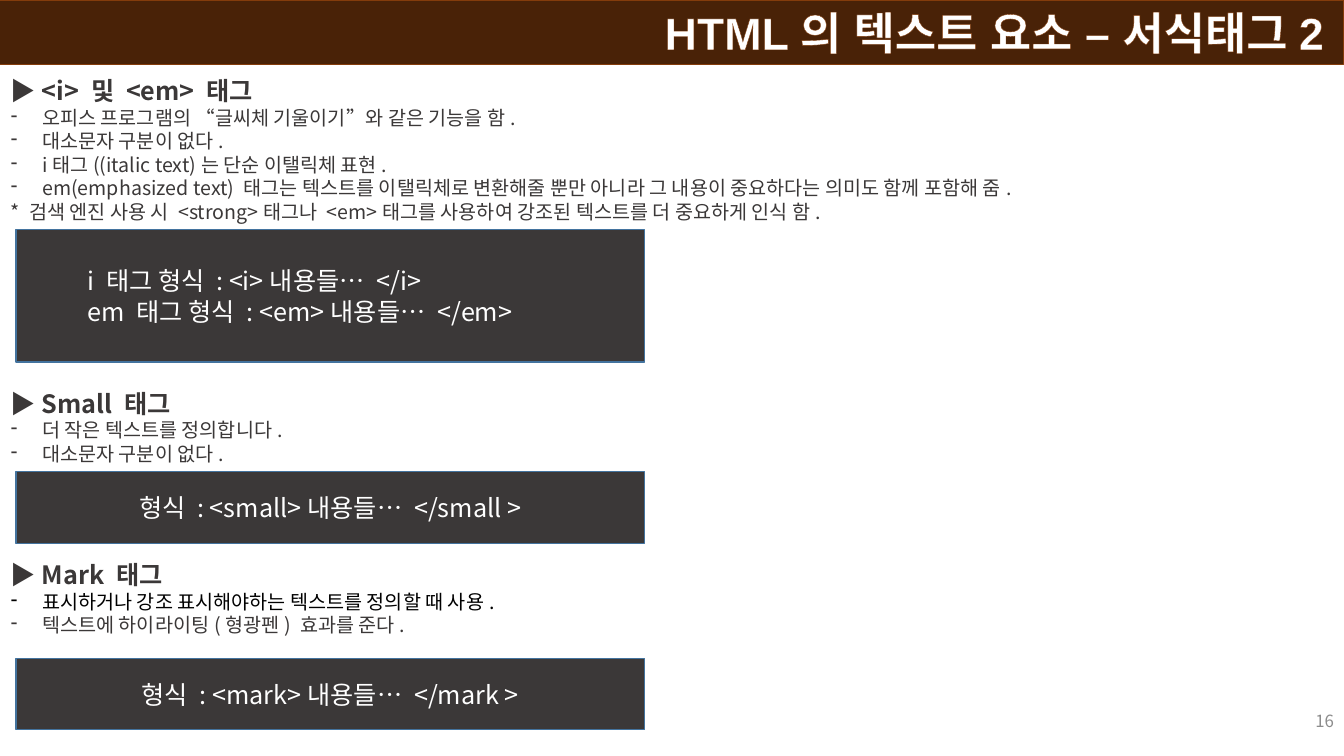
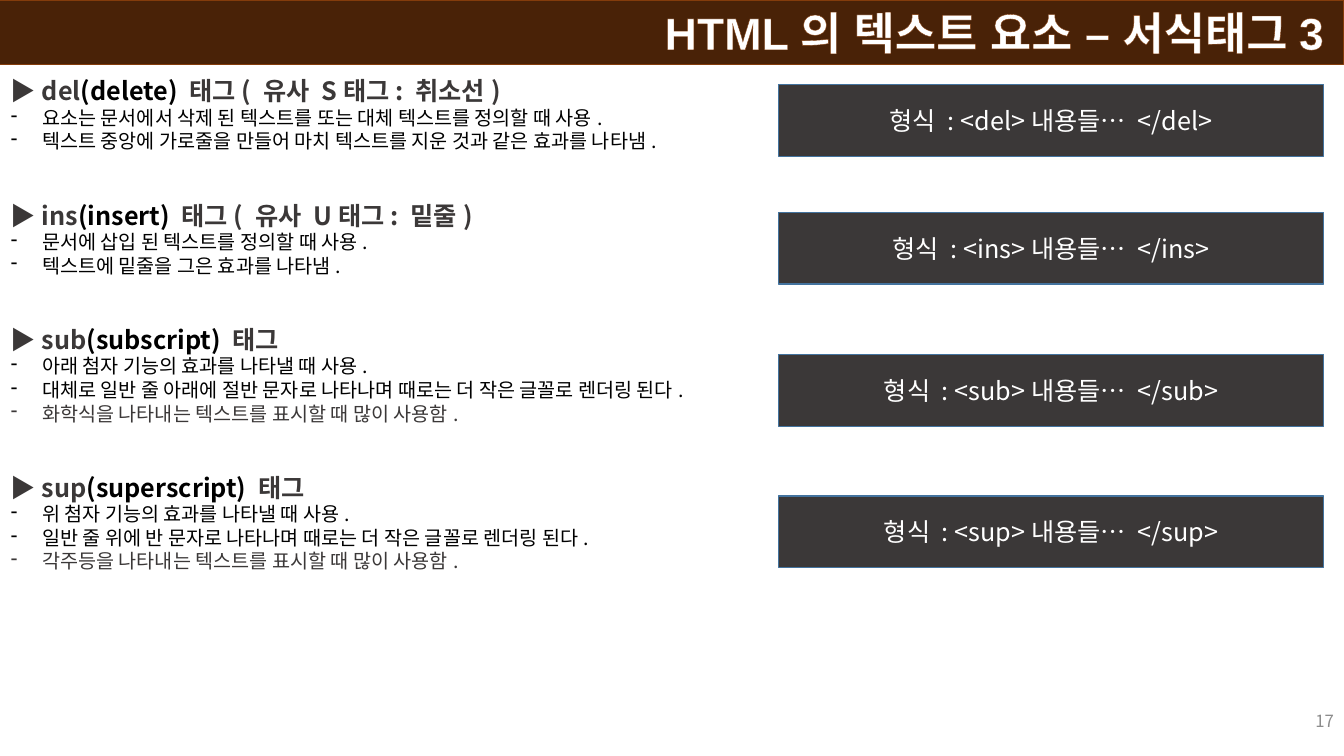
from lxml import etree
from pptx import Presentation
from pptx.dml.color import RGBColor
from pptx.enum.shapes import MSO_SHAPE
from pptx.enum.text import MSO_ANCHOR, PP_ALIGN
from pptx.oxml.ns import qn
from pptx.util import Inches, Pt

RECTANGLE = MSO_SHAPE.RECTANGLE
MIDDLE = MSO_ANCHOR.MIDDLE
LEFT, CENTER, RIGHT = PP_ALIGN.LEFT, PP_ALIGN.CENTER, PP_ALIGN.RIGHT

WIDTH, HEIGHT = Inches(13.33), Inches(7.5)
COLORS = {
    "band": "492207",
    "band_line": "843C0B",
    "dark": "3B3838",
    "box_line": "43739E",
    "black": "000000",
    "white": "FFFFFF",
    "number": "8C8C8C",
}
TITLE_FONT, BODY_FONT = "Arial", "Noto Sans CJK KR"
TITLE_SIZE, HEADING_SIZE, ITEM_SIZE, NUMBER_SIZE = 32, 18, 14, 12
LINE_FACTOR = 1.2
HANG = Inches(0.31)

# Each section: heading spans, then (text, color, has dash) lines.
# Code boxes: (top, height) in percent of the slide's height.
FORMAT_SECTIONS = [
    ([("▶ <i> 및 <em> 태그", "dark")], [
        ("오피스 프로그램의 “글씨체 기울이기”와 같은 기능을 함.", "dark", True),
        ("대소문자 구분이 없다.", "dark", True),
        ("i태그((italic text)는 단순 이탤릭체 표현.", "dark", True),
        ("em(emphasized text) 태그는 텍스트를 이탤릭체로 변환해줄 뿐만 아니라 "
         "그 내용이 중요하다는 의미도 함께 포함해 줌.", "dark", True),
        ("* 검색 엔진 사용 시 <strong>태그나 <em>태그를 사용하여 강조된 텍스트를 "
         "더 중요하게 인식 함.", "dark", False),
    ]),
    ([("▶ Small 태그", "dark")], [
        ("더 작은 텍스트를 정의합니다.", "dark", True),
        ("대소문자 구분이 없다.", "dark", True),
    ]),
    ([("▶ Mark 태그", "dark")], [
        ("표시하거나 강조 표시해야하는 텍스트를 정의할 때 사용.", "black", True),
        ("텍스트에 하이라이팅(형광펜) 효과를 준다.", "dark", True),
    ]),
]


def pair_heading(tag, meaning, rest):
    return [("▶ " + tag, "dark"), (f"({meaning}) ", "black"), (rest, "dark")]


PAIR_SECTIONS = [
    (pair_heading("del", "delete", "태그( 유사 S태그: 취소선)"), [
        ("요소는 문서에서 삭제 된 텍스트를 또는 대체 텍스트를 정의할 때 사용.", "black", True),
        ("텍스트 중앙에 가로줄을 만들어 마치 텍스트를 지운 것과 같은 효과를 나타냄.",
         "black", True),
    ]),
    (pair_heading("ins", "insert", "태그( 유사 U태그: 밑줄)"), [
        ("문서에 삽입 된 텍스트를 정의할 때 사용.", "black", True),
        ("텍스트에 밑줄을 그은 효과를 나타냄.", "black", True),
    ]),
    (pair_heading("sub", "subscript", "태그"), [
        ("아래 첨자 기능의 효과를 나타낼 때 사용.", "black", True),
        ("대체로 일반 줄 아래에 절반 문자로 나타나며 때로는 더 작은 글꼴로 렌더링 된다.",
         "black", True),
        ("화학식을 나타내는 텍스트를 표시할 때 많이 사용함.", "dark", True),
    ]),
    (pair_heading("sup", "superscript", "태그"), [
        ("위 첨자 기능의 효과를 나타낼 때 사용.", "black", True),
        ("일반 줄 위에 반 문자로 나타나며 때로는 더 작은 글꼴로 렌더링 된다.", "black", True),
        ("각주등을 나타내는 텍스트를 표시할 때 많이 사용함.", "dark", True),
    ]),
]
BOX_HEIGHT = 9.47


def color(name):
    return RGBColor.from_string(COLORS[name])


def place(left, top, width, height):
    """Turn percentages of the slide's size into lengths."""
    return (int(WIDTH * left / 100), int(HEIGHT * top / 100),
            int(WIDTH * width / 100), int(HEIGHT * height / 100))


def add_span(para, text, size, ink, font=BODY_FONT, bold=False):
    span = para.add_run()
    span.text = text
    span.font.size = Pt(size)
    span.font.bold = bold
    span.font.name = font
    span.font.color.rgb = color(ink)
    etree.SubElement(span.font._element, qn("a:ea"), typeface=font)
    return span


def next_para(frame, size, align=LEFT):
    """Use the frame's empty first paragraph, or append one, with a fixed line height."""
    para = frame.paragraphs[0]
    if para.runs:
        para = frame.add_paragraph()
    para.alignment = align
    para.line_spacing = Pt(size * LINE_FACTOR)
    return para


def add_dash(para):
    properties = para._p.get_or_add_pPr()
    properties.set("marL", str(HANG))
    properties.set("indent", str(-HANG))
    etree.SubElement(properties, qn("a:buFontTx"))
    etree.SubElement(properties, qn("a:buChar"), char="-")


def add_rectangle(page, area, fill, line, line_width):
    box = page.shapes.add_shape(RECTANGLE, *place(*area))
    box.shadow.inherit = False
    box.fill.solid()
    box.fill.fore_color.rgb = color(fill)
    box.line.color.rgb = color(line)
    box.line.width = Pt(line_width)
    box.text_frame.word_wrap = True
    return box


def add_text_box(page, area):
    frame = page.shapes.add_textbox(*place(*area)).text_frame
    frame.word_wrap = True
    return frame


def outline_text(span, line, width):
    outline = etree.Element(qn("a:ln"), w=str(Pt(width)))
    fill = etree.SubElement(outline, qn("a:solidFill"))
    etree.SubElement(fill, qn("a:srgbClr"), val=COLORS[line])
    span.font._element.insert(0, outline)


def add_title(page, title):
    band = add_rectangle(page, (0, 0, 100, 8.53), "band", "band_line", 0.75)
    frame = band.text_frame
    frame.margin_right = Inches(0.2)
    frame.vertical_anchor = MSO_ANCHOR.TOP
    para = frame.paragraphs[0]
    para.alignment = RIGHT
    span = add_span(para, title, TITLE_SIZE, "white", TITLE_FONT, True)
    outline_text(span, "band_line", 0.75)


def add_page_number(page, number):
    frame = add_text_box(page, (77.5, 92.67, 22.5, 5.33))
    frame.vertical_anchor = MIDDLE
    para = next_para(frame, NUMBER_SIZE, RIGHT)
    add_span(para, str(number), NUMBER_SIZE, "number")


def add_sections(page, sections, gaps, width, height):
    """Write headings and their lines; gaps count the item lines left free above each."""
    frame = add_text_box(page, (0.08, 9.33, width, height))
    for (heading, items), gap in zip(sections, gaps):
        para = next_para(frame, HEADING_SIZE)
        para.space_before = Pt(gap * ITEM_SIZE * LINE_FACTOR)
        for text, ink in heading:
            add_span(para, text, HEADING_SIZE, ink, bold=True)
        for text, ink, dashed in items:
            para = next_para(frame, ITEM_SIZE)
            if dashed:
                add_dash(para)
            add_span(para, text, ITEM_SIZE, ink)


def add_code_box(page, area, lines, align=CENTER, margin=0.1):
    box = add_rectangle(page, area, "dark", "box_line", 1)
    frame = box.text_frame
    frame.margin_left = Inches(margin)
    frame.vertical_anchor = MIDDLE
    for text in lines:
        add_span(next_para(frame, HEADING_SIZE, align), text, HEADING_SIZE, "white")


def add_page(deck, title, number):
    page = deck.slides.add_slide(deck.slide_layouts[6])
    add_title(page, title)
    add_page_number(page, number)
    return page


def add_format_page(deck):
    page = add_page(deck, "HTML의 텍스트 요소 – 서식태그2", 16)
    add_sections(page, FORMAT_SECTIONS, (0, 7, 4), 95.72, 76.27)
    left, width = 1.2, 46.74
    add_code_box(page, (left, 30.4, width, 17.47),
                 ["i 태그 형식 : <i>내용들… </i>", "em 태그 형식 : <em>내용들… </em>"],
                 LEFT, 0.71)
    for tag, top in (("small", 62.4), ("mark", 87.07)):
        add_code_box(page, (left, top, width, BOX_HEIGHT),
                     [f"형식 : <{tag}>내용들… </{tag} >"])


def add_pair_page(deck):
    page = add_page(deck, "HTML의 텍스트 요소 – 서식태그3", 17)
    add_sections(page, PAIR_SECTIONS, (0, 2, 2, 2), 59.49, 67.73)
    for tag, top in (("del", 11.2), ("ins", 28.13), ("sub", 46.93), ("sup", 65.6)):
        add_code_box(page, (57.91, top, 40.59, BOX_HEIGHT),
                     [f"형식 : <{tag}>내용들… </{tag}>"])


def main():
    deck = Presentation()
    deck.slide_width, deck.slide_height = WIDTH, HEIGHT
    add_format_page(deck)
    add_pair_page(deck)
    deck.save("out.pptx")


if __name__ == "__main__":
    main()
